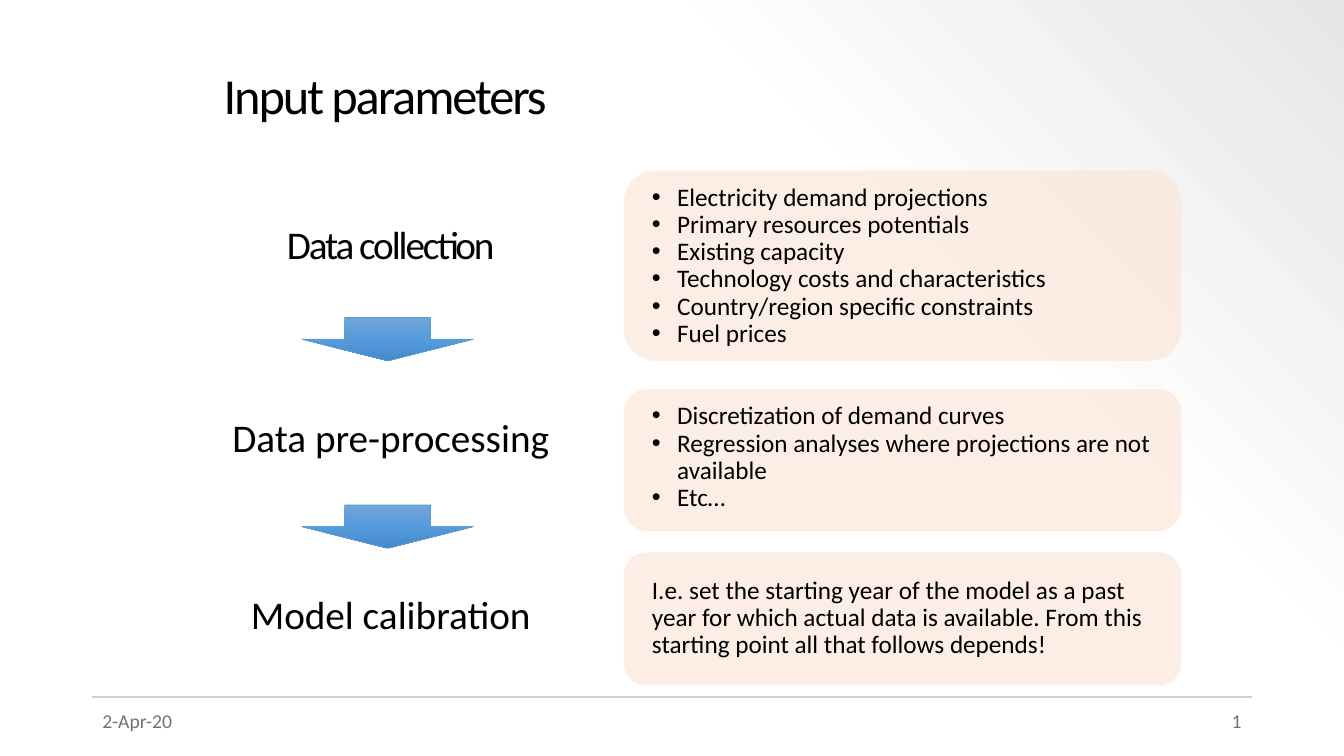
from dataclasses import dataclass

from lxml import etree
from pptx import Presentation
from pptx.dml.color import RGBColor
from pptx.enum.shapes import MSO_CONNECTOR, MSO_SHAPE
from pptx.enum.text import MSO_ANCHOR, MSO_AUTO_SIZE, PP_ALIGN
from pptx.oxml.ns import qn
from pptx.util import Pt

LEFT, CENTER, RIGHT = PP_ALIGN.LEFT, PP_ALIGN.CENTER, PP_ALIGN.RIGHT
TOP, MIDDLE = MSO_ANCHOR.TOP, MSO_ANCHOR.MIDDLE
NO_AUTOFIT = MSO_AUTO_SIZE.NONE
DOWN_ARROW, ROUNDED = MSO_SHAPE.DOWN_ARROW, MSO_SHAPE.ROUNDED_RECTANGLE
STRAIGHT = MSO_CONNECTOR.STRAIGHT


@dataclass(frozen=True)
class Theme:
    font: str = "Calibri"
    text: str = "000000"
    muted: str = "767171"
    rule: str = "D0CECE"
    card: str = "FBE5D6"
    card_opacity: int = 63
    arrow_line: str = "5B9BD5"
    arrow_stops: tuple = ((0, "71A6DB"), (50, "559BDB"), (100, "448ACA"))
    background_stops: tuple = ((0, "FFFFFF"), (69, "FDFDFD"), (100, "E7E6E6"))
    title_size: int = 36
    heading_size: int = 28
    list_size: int = 18
    footer_size: int = 14
    tight_spacing: float = -1.5
    line_spacing: float = 0.9


THEME = Theme()

# Each step: heading, heading top, card top, card height, text offset, bulleted, lines
STEPS = (
    ("Data collection", 157.7, 121.7, 136.1, 6.5, True, (
        "Electricity demand projections",
        "Primary resources potentials",
        "Existing capacity",
        "Technology costs and characteristics",
        "Country/region specific constraints",
        "Fuel prices")),
    ("Data pre-processing", 295.2, 277.9, 101.5, 6.5, True, (
        "Discretization of demand curves",
        "Regression analyses where projections are not available",
        "Etc…")),
    ("Model calibration", 421.9, 394.6, 95, 14.4, False, (
        "I.e. set the starting year of the model as a past year for which "
        "actual data is available. From this starting point all that follows "
        "depends!",)),
)
ARROW_TOPS = (226.8, 360.7)


def place(shape, left, top, width, height):
    shape.left, shape.top = Pt(left), Pt(top)
    shape.width, shape.height = Pt(width), Pt(height)


def set_gradient(fill, element, stops, angle):
    fill.gradient()
    fill.gradient_angle = angle
    stop_list = element.find(".//" + qn("a:gsLst"))
    for stop in list(stop_list):
        stop_list.remove(stop)
    for position, color in stops:
        stop = etree.SubElement(stop_list, qn("a:gs"), pos=str(position * 1000))
        etree.SubElement(stop, qn("a:srgbClr"), val=color)


def set_bullet(paragraph, bulleted):
    properties = paragraph._p.get_or_add_pPr()
    indent = Pt(18) if bulleted else 0
    properties.set("marL", str(indent))
    properties.set("indent", str(-indent))
    if bulleted:
        etree.SubElement(properties, qn("a:buFont"), typeface="Arial")
        etree.SubElement(properties, qn("a:buChar"), char="•")
    else:
        etree.SubElement(properties, qn("a:buNone"))


def write(shape, lines, size, color=THEME.text, align=LEFT, anchor=TOP,
          bulleted=False, tight=False, line_spacing=THEME.line_spacing):
    frame = shape.text_frame
    frame.text = "\n".join(lines)
    frame.word_wrap = True
    frame.auto_size = NO_AUTOFIT
    frame.vertical_anchor = anchor
    for paragraph in frame.paragraphs:
        set_bullet(paragraph, bulleted)
        paragraph.alignment = align
        paragraph.line_spacing = line_spacing
        paragraph.space_before = Pt(0)
        for run in paragraph.runs:
            run.font.name = THEME.font
            run.font.size = Pt(size)
            run.font.color.rgb = RGBColor.from_string(color)
            if tight:
                run.font._element.set("spc", str(int(THEME.tight_spacing * 100)))


def add_text(slide, box, lines, size, **style):
    shape = slide.shapes.add_textbox(*map(Pt, box))
    write(shape, lines, size, **style)


def add_arrow(slide, left, top, width, height):
    arrow = slide.shapes.add_shape(
        DOWN_ARROW, Pt(left), Pt(top), Pt(width), Pt(height))
    arrow.shadow.inherit = False
    set_gradient(arrow.fill, arrow.element, THEME.arrow_stops, 270)
    arrow.line.color.rgb = RGBColor.from_string(THEME.arrow_line)
    arrow.line.width = Pt(0.5)


def add_headings(slide, left, width):
    """Left column: step names joined by arrows."""
    for index, step in enumerate(STEPS):
        box = (left, step[1], width, 44.6)
        if index == 0:
            body = slide.placeholders[1]
            place(body, *box)
            write(body, [step[0]], THEME.heading_size, align=CENTER, tight=True)
        else:
            add_text(slide, box, [step[0]], THEME.heading_size, align=CENTER)
    for top in ARROW_TOPS:
        add_arrow(slide, left + 116.3, top, 122.4, 31)


def add_cards(slide, left, width):
    """Right column: a tinted card with details for each step."""
    for _, _, top, height, offset, bulleted, lines in STEPS:
        card = slide.shapes.add_shape(
            ROUNDED, Pt(left), Pt(top), Pt(width), Pt(height))
        card.shadow.inherit = False
        card.fill.solid()
        card.fill.fore_color.rgb = RGBColor.from_string(THEME.card)
        color = card.element.spPr.find(".//" + qn("a:srgbClr"))
        etree.SubElement(color, qn("a:alpha"), val=str(THEME.card_opacity * 1000))
        card.line.fill.background()
        add_text(slide, (left + 13, top + offset, width - 18, height - 2 * offset),
                 lines, THEME.list_size, bulleted=bulleted)


def add_footer(slide, left, top, width):
    """Rule with the date on the left and the page number on the right."""
    rule = slide.shapes.add_connector(
        STRAIGHT, Pt(left), Pt(top), Pt(left + width), Pt(top))
    rule.line.color.rgb = RGBColor.from_string(THEME.rule)
    rule.line.width = Pt(1.5)
    etree.SubElement(rule.element.spPr, qn("a:effectLst"))
    part = 216
    for offset, text, align in ((0, "2-Apr-20", LEFT), (width - part, "1", RIGHT)):
        add_text(slide, (left + offset, top + 2.2, part, 28.8), [text],
                 THEME.footer_size, color=THEME.muted, align=align,
                 anchor=MIDDLE, line_spacing=1)


def add_process_slide(presentation):
    slide = presentation.slides.add_slide(presentation.slide_layouts[1])
    set_gradient(slide.background.fill, slide.element, THEME.background_stops, 45)
    place(slide.shapes.title, 152.6, 26.6, 741.6, 87.8)
    write(slide.shapes.title, ["Input parameters"], THEME.title_size,
          anchor=MIDDLE, tight=True)
    add_headings(slide, 99.4, 359.3)
    add_cards(slide, 445.6, 398.2)
    add_footer(slide, 66, 498, 828)


def main():
    presentation = Presentation()
    presentation.slide_width, presentation.slide_height = Pt(960), Pt(540)
    add_process_slide(presentation)
    presentation.save("out.pptx")


if __name__ == "__main__":
    main()
